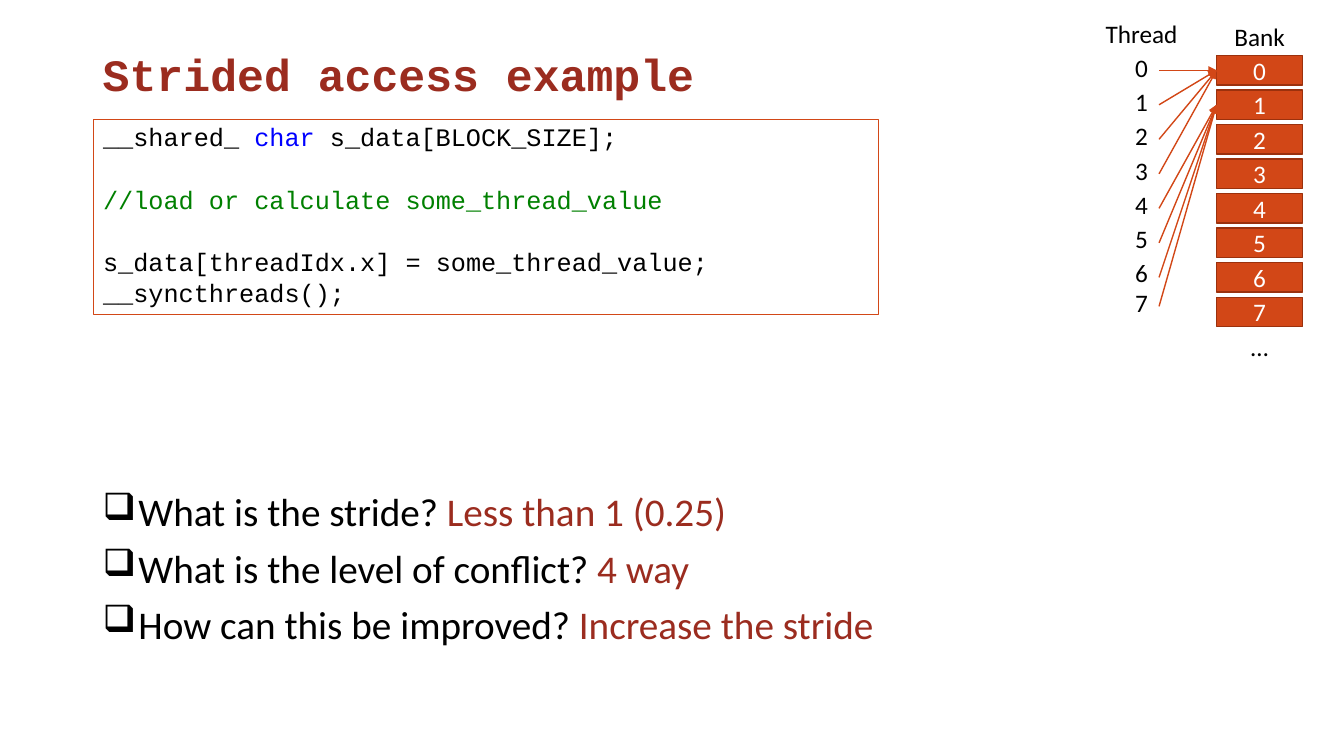
from lxml import etree
from pptx import Presentation
from pptx import util as u
from pptx.dml.color import RGBColor
from pptx.enum import shapes, text
from pptx.oxml.ns import qn

COLORS = {
    "black": "000000",
    "white": "FFFFFF",
    "title": "9B2C1F",
    "keyword": "0000FF",
    "comment": "008000",
    "bank": "D24717",
    "bank_edge": "9B310D",
}
SANS = "Calibri"
MONO = "Courier New"


def color(name):
    return RGBColor.from_string(COLORS[name])


def add_runs(paragraph, pieces, size=18, font=SANS, bold=False):
    for words, shade in pieces:
        run = paragraph.add_run()
        run.text = words
        run.font.size = u.Pt(size)
        run.font.name = font
        run.font.bold = bold
        run.font.color.rgb = color(shade)


def prepare(frame, anchor=text.MSO_ANCHOR.TOP):
    frame.margin_left = frame.margin_right = 0
    frame.margin_top = frame.margin_bottom = 0
    frame.vertical_anchor = anchor
    frame.word_wrap = True
    return frame


def text_area(slide, left, top, width, height):
    area = slide.shapes.add_textbox(u.Cm(left), u.Cm(top), u.Cm(width), u.Cm(height))
    return prepare(area.text_frame)


def block(slide, left, top, width, height, fill, edge, weight):
    rect = slide.shapes.add_shape(
        shapes.MSO_SHAPE.RECTANGLE, u.Cm(left), u.Cm(top), u.Cm(width), u.Cm(height))
    rect.shadow.inherit = False
    rect.fill.solid()
    rect.fill.fore_color.rgb = color(fill)
    rect.line.color.rgb = color(edge)
    rect.line.width = u.Pt(weight)
    return rect.text_frame


def paragraphs(frame, count):
    yield frame.paragraphs[0]
    for _ in range(count - 1):
        yield frame.add_paragraph()


def arrow(slide, x1, y1, x2, y2):
    link = slide.shapes.add_connector(
        shapes.MSO_CONNECTOR.STRAIGHT, u.Cm(x1), u.Cm(y1), u.Cm(x2), u.Cm(y2))
    link.line.color.rgb = color("bank")
    link.line.width = u.Pt(1)
    etree.SubElement(link.line._get_or_add_ln(), qn("a:tailEnd"), type="triangle")
    etree.SubElement(link._element.spPr, qn("a:effectLst"))


def title(slide, left, top, width, height):
    heading = text_area(slide, left, top, width, height).paragraphs[0]
    add_runs(heading, [("Strided access example", "title")], 32, MONO, True)


def code_listing(slide, left, top, width, height):
    lines = [
        (1.4, [("__shared_\t", "black"), ("char ", "keyword"),
               ("s_data[BLOCK_SIZE];", "black")]),
        (23, [("//load or calculate some_thread_value", "comment")]),
        (22.5, [("s_data[threadIdx.x] = some_thread_value;", "black")]),
        (1, [("__syncthreads();", "black")]),
    ]
    frame = prepare(block(slide, left, top, width, height, "white", "bank", 0.72))
    frame.margin_top = u.Cm(0.05)
    for line, (gap, pieces) in zip(paragraphs(frame, len(lines)), lines):
        line.alignment = text.PP_ALIGN.LEFT
        line.space_before = u.Pt(gap)
        props = line._p.get_or_add_pPr()
        props.set("marL", str(u.Cm(0.25)))
        props.set("indent", "0")
        stops = etree.SubElement(props, qn("a:tabLst"))
        etree.SubElement(stops, qn("a:tab"), pos=str(u.Cm(4.42)), algn="l")
        add_runs(line, pieces, font=MONO)


def questions(slide, left, top, width, height):
    items = [
        ("What is the stride? ", "Less than 1 (0.25)"),
        ("What is the level of conflict? ", "4 way"),
        ("How can this be improved? ", "Increase the stride"),
    ]
    frame = text_area(slide, left, top, width, height)
    frame.margin_top = u.Cm(0.28)
    for item, (question, answer) in zip(paragraphs(frame, len(items)), items):
        item.space_before = u.Pt(6.7)
        props = item._p.get_or_add_pPr()
        props.set("marL", str(u.Cm(0.9)))
        props.set("indent", str(-u.Cm(0.9)))
        etree.SubElement(props, qn("a:buSzPct"), val="96000")
        etree.SubElement(props, qn("a:buChar"), char="❑")
        add_runs(item, [(question, "black"), (answer, "title")], 28)


def bank_diagram(slide, left, top, width, height):
    count, threads_per_bank = 8, 4
    pitch, bank_height, bank_width = 0.87, 0.74, 2.17
    bank_left = left + width - bank_width
    first_bank = top + 1.1
    arrow_left = left + 1.38

    def row_middle(row):
        return first_bank + row * pitch + bank_height / 2

    for bank in range(count):
        frame = prepare(block(slide, bank_left, first_bank + bank * pitch, bank_width,
                              bank_height, "bank", "bank_edge", 0.96),
                        text.MSO_ANCHOR.MIDDLE)
        frame.paragraphs[0].alignment = text.PP_ALIGN.CENTER
        add_runs(frame.paragraphs[0], [(str(bank), "white")])

    for caption, caption_top in (("Bank", top + 0.24), ("…", first_bank + count * pitch)):
        label = text_area(slide, bank_left, caption_top, bank_width, 0.8).paragraphs[0]
        label.alignment = text.PP_ALIGN.CENTER
        add_runs(label, [(caption, "black")])

    thread_labels = ["Thread", *map(str, range(count))]
    threads = text_area(slide, left, top + 0.16, 1.88, height - 1)
    for label, words in zip(paragraphs(threads, len(thread_labels)), thread_labels):
        label.alignment = text.PP_ALIGN.CENTER
        label.space_before = u.Pt(0 if words in ("Thread", "7") else 2.8)
        add_runs(label, [(words, "black")])

    for thread in range(count):
        lift = 0.14 if thread == count - 1 else 0
        arrow(slide, arrow_left, row_middle(thread) - lift,
              bank_left, row_middle(thread // threads_per_bank))


def main():
    deck = Presentation()
    deck.slide_width, deck.slide_height = u.Cm(33.87), u.Cm(19.05)
    slide = deck.slides.add_slide(deck.slide_layouts[6])
    title(slide, 2.59, 1.18, 15.02, 1.42)
    questions(slide, 2.59, 12.01, 20.5, 4.34)
    code_listing(slide, 2.35, 3.02, 19.78, 4.9)
    bank_diagram(slide, 27.83, 0.3, 5.0, 8.8)
    deck.save("out.pptx")


if __name__ == "__main__":
    main()
